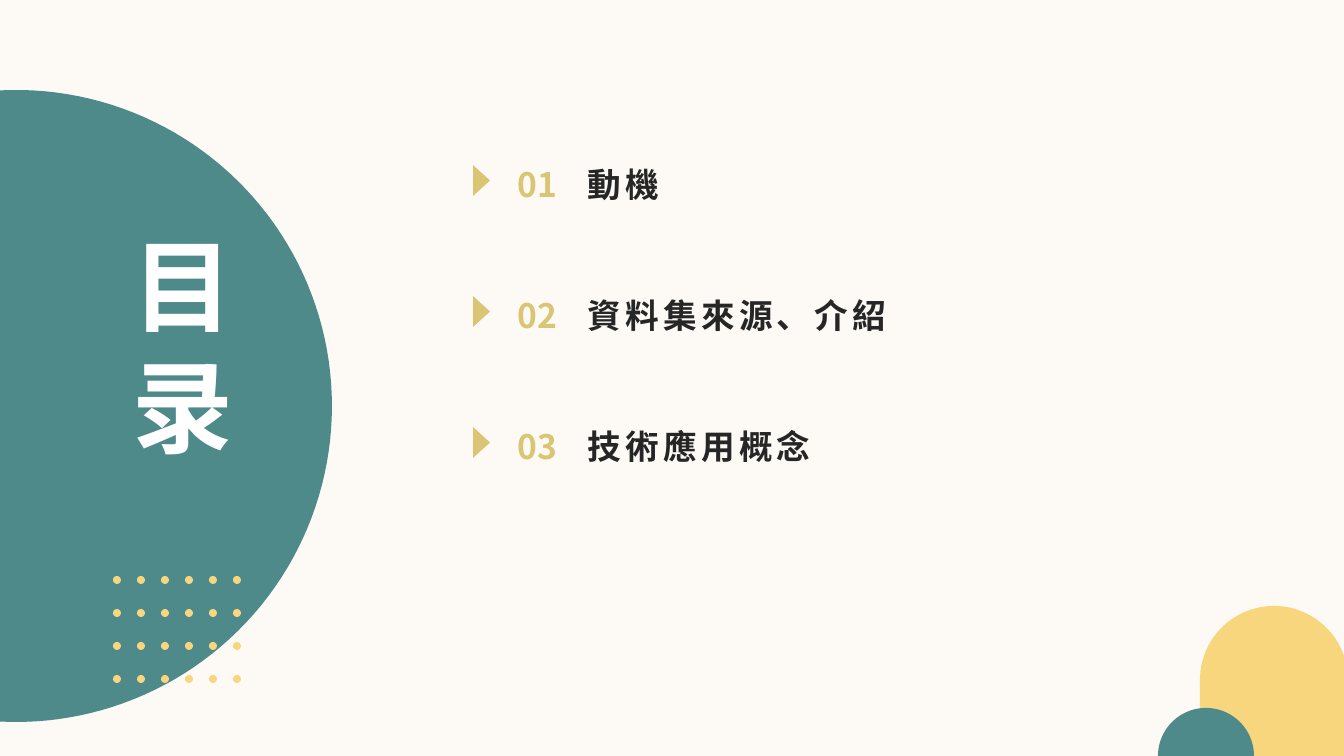
from math import acos, cos, degrees, radians, sin

from pptx import Presentation
from pptx.dml.color import RGBColor
from pptx.enum.shapes import MSO_SHAPE
from pptx.enum.text import MSO_ANCHOR, PP_ALIGN
from pptx.oxml.ns import qn
from pptx.util import Pt

SLIDE_WIDTH, SLIDE_HEIGHT = 1344, 756
EMU_PER_PX = 12192000 / SLIDE_WIDTH
COLORS = {
    "paper": "FDFAF5",
    "teal": "4F8A8B",
    "yellow": "F8D67E",
    "gold": "D9C573",
    "ink": "262626",
    "white": "FFFFFF",
}
BODY_FONT = "Noto Sans CJK SC"
CONTENTS = ["動機", "資料集來源、介紹", "技術應用概念"]
ROW_TOP, ROW_STEP = 164, 131


def px(length):
    return round(length * EMU_PER_PX)


def color(name):
    return RGBColor.from_string(COLORS[name])


def paint(shape, fill):
    shape.shadow.inherit = False
    shape.fill.solid()
    shape.fill.fore_color.rgb = color(fill)
    shape.line.fill.background()


def arc(center_x, center_y, radius, start, end, steps=90):
    """Return points along a circle, clockwise, with angles in degrees."""
    angles = [radians(start + (end - start) * step / steps) for step in range(steps + 1)]
    return [(center_x + radius * cos(a), center_y + radius * sin(a)) for a in angles]


def add_outline(page, points, fill):
    corners = [(px(x), px(y)) for x, y in points]
    builder = page.shapes.build_freeform(*corners[0])
    builder.add_line_segments(corners[1:], close=True)
    paint(builder.convert_to_shape(), fill)


def add_preset(page, kind, left, top, width, height, fill, rotation=0):
    shape = page.shapes.add_shape(kind, px(left), px(top), px(width), px(height))
    shape.rotation = rotation
    paint(shape, fill)


def write_text(box, text, *, size, fill, font, align=PP_ALIGN.LEFT,
               anchor=MSO_ANCHOR.TOP, wrap=True, spacing=0, line_spacing=None):
    frame = box.text_frame
    frame.margin_left = frame.margin_top = frame.margin_right = frame.margin_bottom = 0
    frame.word_wrap = wrap
    frame.vertical_anchor = anchor
    para = frame.paragraphs[0]
    para.alignment = align
    para.line_spacing = line_spacing
    span = para.add_run()
    span.text = text
    span.font.size = Pt(size)
    span.font.bold = True
    span.font.name = font
    span.font.color.rgb = color(fill)
    properties = span.font._element
    properties.set("spc", str(spacing * 100))
    east_asian = properties.makeelement(qn("a:ea"), {"typeface": BODY_FONT})
    properties.find(qn("a:latin")).addnext(east_asian)


def add_text(page, left, top, width, height, text, **style):
    box = page.shapes.add_textbox(px(left), px(top), px(width), px(height))
    write_text(box, text, size=24, font=BODY_FONT, **style)


def add_decoration(page):
    center_x, radius = 16, 316
    edge = degrees(acos(-center_x / radius))
    add_outline(page, arc(center_x, 406, radius, -edge, edge), "teal")

    for row in range(4):
        for column in range(6):
            add_preset(page, MSO_SHAPE.OVAL, 113 + 24 * column, 576 + 33 * row, 8, 8, "yellow")

    center_x, radius = 1274, 74
    edge = degrees(acos((SLIDE_WIDTH - center_x) / radius))
    arch = arc(center_x, 680, radius, 180, 360 - edge)
    arch += [(SLIDE_WIDTH, SLIDE_HEIGHT), (center_x - radius, SLIDE_HEIGHT)]
    add_outline(page, arch, "yellow")
    add_outline(page, arc(1206, SLIDE_HEIGHT, 48, 180, 360), "teal")


def place_title(page, text):
    title = page.shapes.title
    title.left, title.top, title.width, title.height = px(93), px(197), px(140), px(296)
    write_text(title, text, size=72, fill="white", font="Arial",
               align=PP_ALIGN.RIGHT, anchor=MSO_ANCHOR.MIDDLE)
    title.element.getparent().append(title.element)  # bring in front of the circle


def add_entry(page, index, text):
    top = ROW_TOP + ROW_STEP * index
    add_preset(page, MSO_SHAPE.ISOSCELES_TRIANGLE, 466, top + 8, 31, 17, "gold", rotation=90)
    add_text(page, 501, top, 73, 108, f"{index + 1:02d}", fill="gold",
             align=PP_ALIGN.CENTER, wrap=False)
    add_text(page, 588, top, 464, 108, text, fill="ink", spacing=3)


def main():
    deck = Presentation()
    deck.slide_width, deck.slide_height = px(SLIDE_WIDTH), px(SLIDE_HEIGHT)
    page = deck.slides.add_slide(deck.slide_layouts[5])
    page.background.fill.solid()
    page.background.fill.fore_color.rgb = color("paper")
    add_decoration(page)
    place_title(page, "目录")
    for index, text in enumerate(CONTENTS):
        add_entry(page, index, text)
    deck.save("out.pptx")


if __name__ == "__main__":
    main()
